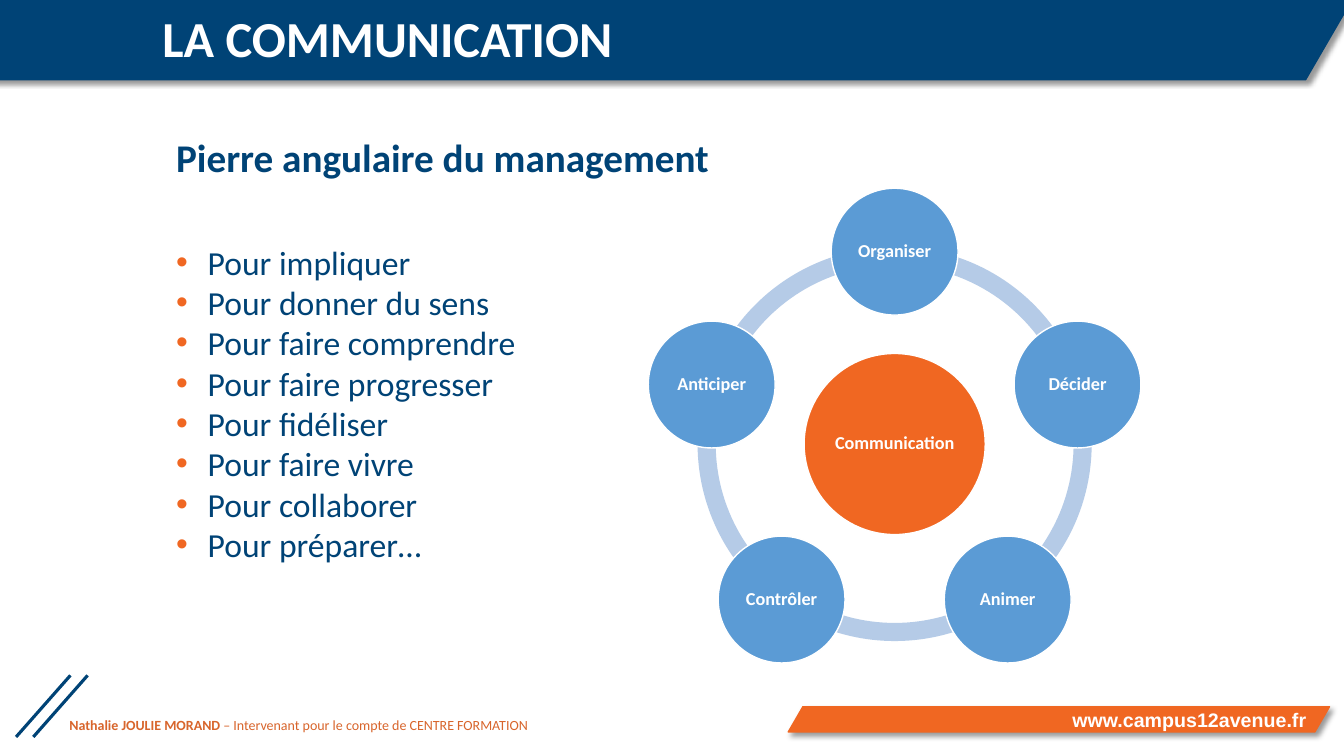
import math
from lxml import etree
from pptx import Presentation
from pptx.dml.color import RGBColor
from pptx.enum import shapes, text
from pptx.oxml import ns
from pptx.util import Pt

COLORS = {
    "navy": "004376",
    "orange": "F06722",
    "rust": "D8652C",
    "blue": "5B9BD5",
    "pale": "B5CBE7",
    "white": "FFFFFF",
    "black": "000000",
}
REASONS = [
    "Pour impliquer",
    "Pour donner du sens",
    "Pour faire comprendre",
    "Pour faire progresser",
    "Pour fidéliser",
    "Pour faire vivre",
    "Pour collaborer",
    "Pour préparer…",
]
ACTIVITIES = ["Organiser", "Décider", "Animer", "Contrôler", "Anticiper"]
SHAPE = shapes.MSO_SHAPE


def rgb(name):
    return RGBColor.from_string(COLORS[name])


def style_font(font, size, color, bold=False, name="Calibri"):
    font.name = name
    font.size = Pt(size)
    font.bold = bold
    font.color.rgb = rgb(color)


def add_child(parent, tag, **attributes):
    return etree.SubElement(parent, ns.qn(tag), attributes)


def add_filled(slide, kind, box, fill, line=None):
    shape = slide.shapes.add_shape(kind, *map(Pt, box))
    shape.shadow.inherit = False
    shape.fill.solid()
    shape.fill.fore_color.rgb = rgb(fill)
    if line:
        shape.line.color.rgb = rgb(line)
        shape.line.width = Pt(1)
    else:
        shape.line.fill.background()
    return shape


def add_text(slide, box, content):
    frame = slide.shapes.add_textbox(*map(Pt, box)).text_frame
    frame.word_wrap = True
    frame.text = content
    return frame


def add_band(slide, box, color):
    band = add_filled(slide, SHAPE.PARALLELOGRAM, box, color, color)
    band.adjustments[0] = 0.58
    effects = band.element.spPr.find(ns.qn("a:effectLst"))
    shadow = add_child(effects, "a:outerShdw", blurRad=str(Pt(4)), dist=str(Pt(3)),
                       dir="2700000", algn="tl", rotWithShape="0")
    tone = add_child(shadow, "a:srgbClr", val=COLORS["black"])
    add_child(tone, "a:alpha", val="40000")
    return band


def add_header(slide, left, top, width, height):
    band = add_band(slide, (left, top, width, height), "navy")
    title = slide.shapes.title
    title.element.addprevious(band.element)
    title.left, title.top = Pt(left + 142.6), Pt(top + 1.4)
    title.width, title.height = Pt(404.6), Pt(51)
    frame = title.text_frame
    frame.text = "LA COMMUNICATION"
    frame.auto_size = text.MSO_AUTO_SIZE.NONE
    frame.vertical_anchor = text.MSO_ANCHOR.TOP
    paragraph = frame.paragraphs[0]
    paragraph.alignment = text.PP_ALIGN.LEFT
    paragraph.line_spacing = 1.0
    style_font(paragraph.runs[0].font, 36, "white", True)


def add_bullet(paragraph):
    properties = paragraph._p.get_or_add_pPr()
    properties.set("marL", str(Pt(22.5)))
    properties.set("indent", str(-Pt(22.5)))
    color = add_child(properties, "a:buClr")
    add_child(color, "a:srgbClr", val=COLORS["orange"])
    add_child(properties, "a:buFont", typeface="Arial")
    add_child(properties, "a:buChar", char="•")


def add_reasons(slide, left, top, width, height):
    frame = add_text(slide, (left, top, width, height), "Pierre angulaire du management")
    style_font(frame.paragraphs[0].runs[0].font, 28, "navy", True)
    for index, reason in enumerate(REASONS):
        paragraph = frame.add_paragraph()
        paragraph.text = reason
        add_bullet(paragraph)
        if index == 0:
            paragraph.space_before = Pt(44)
        style_font(paragraph.runs[0].font, 24, "navy")


def add_circle(slide, center_x, center_y, diameter, fill, label):
    box = (center_x - diameter / 2, center_y - diameter / 2, diameter, diameter)
    circle = add_filled(slide, SHAPE.OVAL, box, fill, "white")
    frame = circle.text_frame
    frame.margin_left = frame.margin_right = Pt(1.3)
    frame.margin_top = frame.margin_bottom = Pt(1.3)
    frame.vertical_anchor = text.MSO_ANCHOR.MIDDLE
    frame.word_wrap = True
    frame.text = label
    paragraph = frame.paragraphs[0]
    paragraph.alignment = text.PP_ALIGN.CENTER
    paragraph.line_spacing = 0.9
    style_font(paragraph.runs[0].font, 13, "white", True)


def add_cycle(slide, left, top, size):
    center_x, center_y = left + size / 2, top + size / 2
    step = 360 / len(ACTIVITIES)
    angles = [270 + step * index for index in range(len(ACTIVITIES))]
    for angle in angles:
        arc = add_filled(slide, SHAPE.BLOCK_ARC, (left, top, size, size), "pale")
        arc.adjustments[0] = angle % 360 * 0.6
        arc.adjustments[1] = (angle + step) % 360 * 0.6
        arc.adjustments[2] = 0.046
    add_circle(slide, center_x, center_y, 129.4, "orange", "Communication")
    radius = size * 0.488
    for angle, label in zip(angles, ACTIVITIES):
        turn = math.radians(angle)
        add_circle(slide, center_x + radius * math.cos(turn),
                   center_y + radius * math.sin(turn), 90.6, "blue", label)


def add_footer(slide, left, top, width, height):
    add_band(slide, (left + 551.6, top + 22.4, 386.6, height - 26), "orange")
    site = add_text(slide, (left + 568.8, top + 19.6, 360, 24.5), "www.campus12avenue.fr")
    site.paragraphs[0].alignment = text.PP_ALIGN.RIGHT
    style_font(site.paragraphs[0].runs[0].font, 14, "white", True, "Arial")
    for offset in (0, 12.3):
        slash = slide.shapes.add_connector(
            shapes.MSO_CONNECTOR.STRAIGHT, Pt(left + offset), Pt(top + 44),
            Pt(left + offset + 38.8), Pt(top - 3.6 + 3.6))
        slash.line.color.rgb = rgb("navy")
        slash.line.width = Pt(2.25)
        add_child(slash.element.spPr, "a:effectLst")
    author = add_text(slide, (left + 31, top + 25.6, 543.6, 19.4), "Nathalie JOULIE MORAND ")
    paragraph = author.paragraphs[0]
    paragraph.add_run().text = "– Intervenant pour le compte de CENTRE FORMATION"
    for run, bold in zip(paragraph.runs, (True, False)):
        style_font(run.font, 10, "rust", bold)


def main():
    presentation = Presentation()
    presentation.slide_width, presentation.slide_height = Pt(960), Pt(540)
    slide = presentation.slides.add_slide(presentation.slide_layouts[5])
    add_header(slide, -33.8, 0, 999.4, 56.9)
    add_footer(slide, 11.5, 482.4, 938.2, 44)
    add_reasons(slide, 118.8, 91.4, 693.4, 404.6)
    add_cycle(slide, 498.3, 176.4, 281.5)
    presentation.save("out.pptx")


if __name__ == "__main__":
    main()
